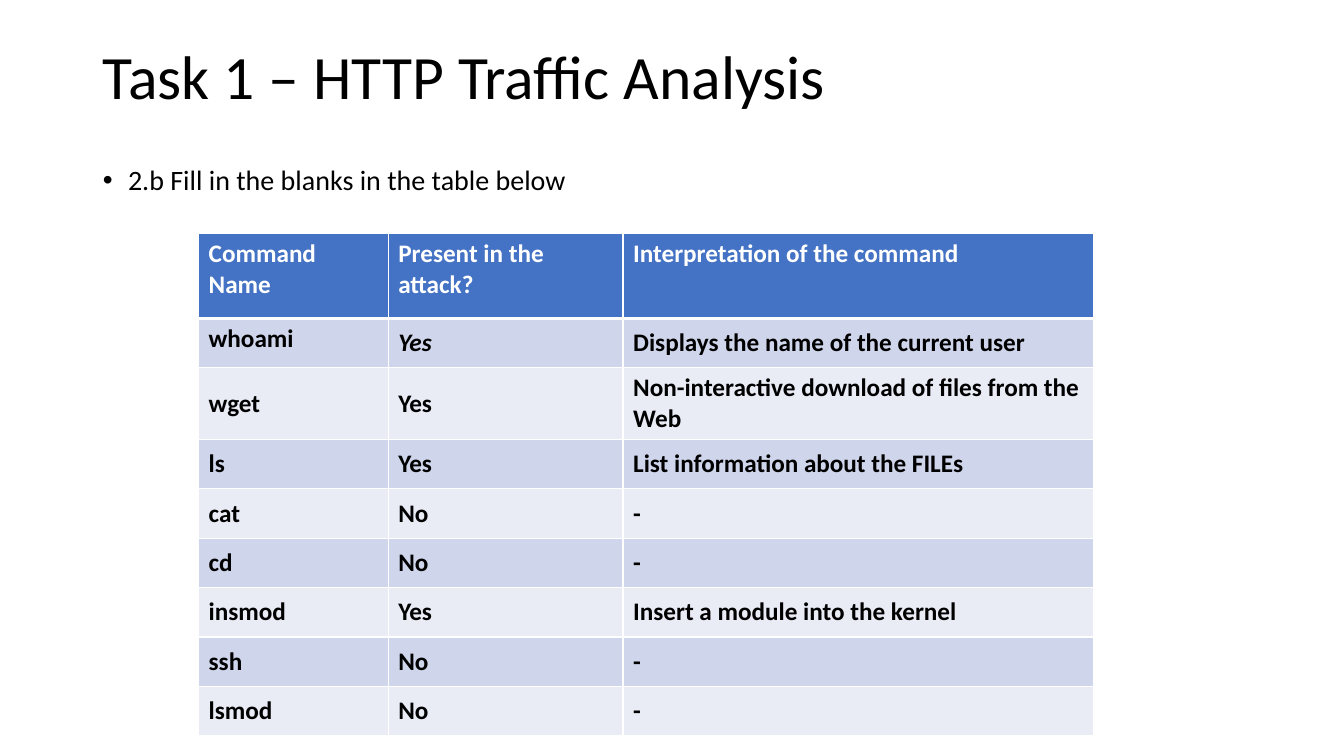
from typing import NamedTuple

from lxml.etree import SubElement
from pptx import Presentation
from pptx.dml.color import RGBColor
from pptx.enum.text import MSO_ANCHOR as Anchor, MSO_AUTO_SIZE as AutoSize, PP_ALIGN as Align
from pptx.oxml.ns import qn
from pptx.util import Inches, Pt

BLACK, WHITE, HEADER = "000000", "FFFFFF", "4472C4"
BANDS = ("CFD5EA", "E9EBF5")


class Command(NamedTuple):
    name: str
    present: str
    meaning: str = "-"


HEADINGS = Command("Command Name", "Present in the attack?", "Interpretation of the command")
COMMANDS = [
    Command("whoami", "Yes", "Displays the name of the current user"),
    Command("wget", "Yes", "Non-interactive download of files from the Web"),
    Command("ls", "Yes", "List information about the FILEs"),
    Command("cat", "No"),
    Command("cd", "No"),
    Command("insmod", "Yes", "Insert a module into the kernel"),
    Command("ssh", "No"),
    Command("lsmod", "No"),
]


def rgb(color: str) -> RGBColor:
    return RGBColor.from_string(color)


def write(tf, text: str, size: float, color: str = BLACK, **styles):
    """Put one formatted run in a text frame and return its paragraph."""
    p = tf.paragraphs[0]
    r = p.add_run()
    r.text = text
    for key, value in {"name": "Calibri", "size": Pt(size), **styles}.items():
        setattr(r.font, key, value)
    r.font.color.rgb = rgb(color)
    return p


def fill_placeholder(sp, box: tuple, anchor, text: str, size: float):
    for key, value in zip(("left", "top", "width", "height"), box):
        setattr(sp, key, Inches(value))
    tf = sp.text_frame
    for key, value in {"word_wrap": True, "auto_size": AutoSize.NONE,
                       "vertical_anchor": anchor}.items():
        setattr(tf, key, value)
    p = write(tf, text, size)
    p.alignment, p.line_spacing = Align.LEFT, 0.9
    return p


def add_border(cell, side: str, width: float) -> None:
    line = SubElement(cell._tc.get_or_add_tcPr(), qn(f"a:ln{side}"), w=str(Pt(width)))
    SubElement(SubElement(line, qn("a:solidFill")), qn("a:srgbClr"), val=WHITE)


def format_cell(cell, text: str, row: int, col: int) -> None:
    header = row == 0
    # The header is parted from the rows below by a thicker line
    widths = {"L": 1, "R": 1, "T": 3 if row == 1 else 1, "B": 3 if header else 1}
    for side, width in widths.items():
        add_border(cell, side, width)
    cell.fill.solid()
    cell.fill.fore_color.rgb = rgb(HEADER if header else BANDS[(row - 1) % 2])
    at_top = header or (row, col) == (1, 0)
    cell.vertical_anchor = Anchor.TOP if at_top else Anchor.MIDDLE
    write(cell.text_frame, text, 18, WHITE if header else BLACK,
          bold=True, italic=(row, col) == (1, 1))


prs = Presentation()
prs.slide_width, prs.slide_height = Inches(13.33), Inches(7.5)
s = prs.slides.add_slide(prs.slide_layouts[1])

# Title and bulleted task
fill_placeholder(s.shapes.title, (0.92, 0.4, 11.5, 0.78), Anchor.MIDDLE,
                 "Task 1 – HTTP Traffic Analysis", 44)
task = fill_placeholder(s.placeholders[1], (0.92, 1.6, 11.5, 0.62), Anchor.TOP,
                        "2.b Fill in the blanks in the table below", 20)
task.space_before = Pt(10)
pPr = task._p.get_or_add_pPr()
pPr.set("marL", str(Inches(0.25)))
pPr.set("indent", str(Inches(-0.25)))
SubElement(pPr, qn("a:buFont"), typeface="Arial")
SubElement(pPr, qn("a:buChar"), char="•")

# Command table
rows = [HEADINGS, *COMMANDS]
table = s.shapes.add_table(len(rows), len(HEADINGS), Inches(1.97), Inches(2.32),
                           Inches(8.88), Inches(4.76)).table
for column, width in zip(table.columns, (1.88, 2.33, 4.67)):
    column.width = Inches(width)
for i, command in enumerate(rows):
    table.rows[i].height = Inches(0.49 if i else 0.84)
    for j, text in enumerate(command):
        format_cell(table.cell(i, j), text, i, j)

prs.save("out.pptx")
